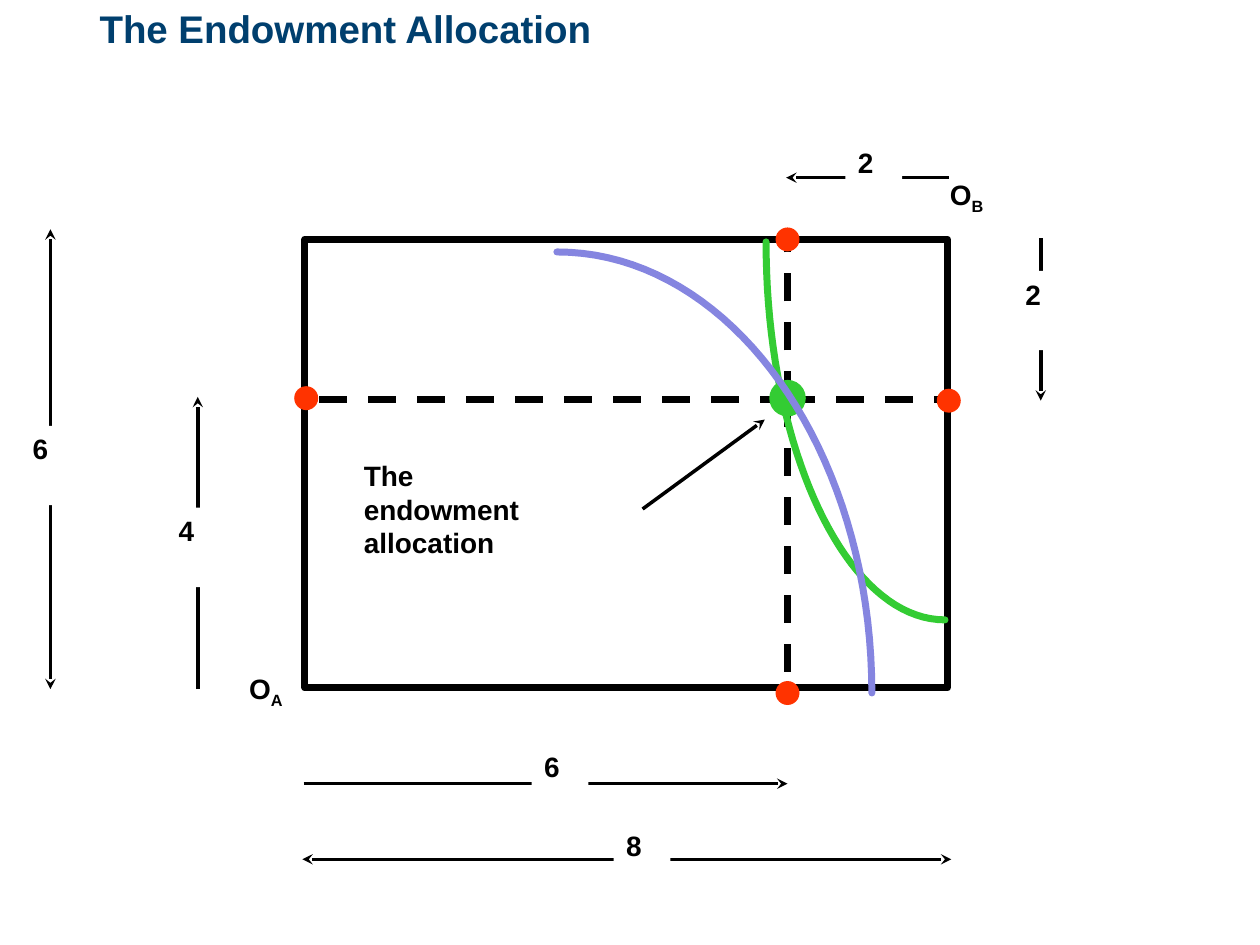
from lxml.etree import SubElement
from pptx import Presentation
from pptx.dml.color import RGBColor
from pptx.enum.dml import MSO_LINE
from pptx.enum.shapes import MSO_CONNECTOR, MSO_SHAPE
from pptx.enum.text import MSO_ANCHOR, PP_ALIGN
from pptx.oxml.ns import qn
from pptx.util import Emu, Pt

PX = 9144  # 100 px to the inch
COLORS = {
    "ink": "000000",
    "paper": "FFFFFF",
    "title": "003F6E",
    "corner": "FF3300",
    "endowment": "33CC33",
    "curve_a": "8585E0",
}
FONT = "Arial"
EDGEWORTH_BOX = (242, 190, 510, 356)
ENDOWMENT = (383, 126)

# start, end, two-headed, amount, top left of the amount; relative to the box
DIMENSIONS = [
    ((-2, 492), (513, 492), True, "8", (245, 463)),
    ((-202, -8), (-202, 357), True, "6", (-226, 148)),
    ((-85, 357), (-85, 125), False, "4", (-110, 213)),
    ((-1, 432), (383, 432), False, "6", (180, 400)),
    ((584, -1), (584, 128), False, "2", (562, 25)),
    ((511, -49), (382, -49), False, "2", (429, -79)),
]


def px(*lengths):
    return [Emu(round(length * PX)) for length in lengths]


def rgb(name):
    return RGBColor.from_string(COLORS[name])


def shift(box, point):
    return box[0] + point[0], box[1] + point[1]


def style_line(line, color, width):
    line.color.rgb = rgb(color)
    line.width = Pt(width)


def style_font(font, size, color):
    font.name, font.size, font.bold = FONT, Pt(size), True
    font.color.rgb = rgb(color)


def add_line(slide, start, end, width=2, ends=()):
    """Straight black line; ends lists the arrowhead elements it carries."""
    line = slide.shapes.add_connector(MSO_CONNECTOR.STRAIGHT, *px(*start, *end))
    style_line(line.line, "ink", width)
    for arrowhead in ends:
        SubElement(line.line._get_or_add_ln(), qn(f"a:{arrowhead}"), type="stealth")
    SubElement(line._element.spPr, qn("a:effectLst"))
    return line


def add_dot(slide, center, diameter, color):
    corner = [middle - diameter / 2 for middle in center]
    dot = slide.shapes.add_shape(MSO_SHAPE.OVAL, *px(*corner, diameter, diameter))
    dot.shadow.inherit = False
    dot.fill.solid()
    dot.fill.fore_color.rgb = rgb(color)
    dot.line.fill.background()


def add_label(slide, corner, size, text, subscript=None):
    label = slide.shapes.add_textbox(*px(*corner, *size))
    label.text_frame.word_wrap = True
    label.text_frame.text = text
    paragraph = label.text_frame.paragraphs[0]
    style_font(paragraph.font, 16, "ink")
    if subscript:
        run = paragraph.add_run()
        run.text = subscript
        run.font._element.set("baseline", "-25000")
    return label


def add_curve(slide, box, controls, color, steps=40):
    """Indifference curve through the points of a cubic Bezier."""
    points = []
    for step in range(steps + 1):
        t = step / steps
        weights = ((1 - t) ** 3, 3 * t * (1 - t) ** 2, 3 * t**2 * (1 - t), t**3)
        offset = [sum(w * c[axis] for w, c in zip(weights, controls)) for axis in (0, 1)]
        points.append(px(*shift(box, offset)))
    builder = slide.shapes.build_freeform(*points[0])
    builder.add_line_segments(points[1:], close=False)
    curve = builder.convert_to_shape()
    curve.shadow.inherit = False
    curve.fill.background()
    style_line(curve.line, color, 4)
    curve.line._get_or_add_ln().set("cap", "rnd")


def add_title(slide, box, text):
    title = slide.shapes.title
    title.left, title.top, title.width, title.height = px(*box)
    frame = title.text_frame
    frame.margin_left = frame.margin_top = frame.margin_right = frame.margin_bottom = 0
    frame.vertical_anchor = MSO_ANCHOR.TOP
    frame.text = text
    frame.paragraphs[0].alignment = PP_ALIGN.LEFT
    style_font(frame.paragraphs[0].font, 22, "title")


def add_dimensions(slide, box):
    for start, end, two_headed, amount, corner in DIMENSIONS:
        ends = ("headEnd", "tailEnd") if two_headed else ("tailEnd",)
        add_line(slide, shift(box, start), shift(box, end), ends=ends)
        label = add_label(slide, shift(box, corner), (45, 63), amount)
        label.fill.solid()
        label.fill.fore_color.rgb = rgb("paper")


def add_edgeworth_box(slide, box):
    frame = slide.shapes.add_shape(MSO_SHAPE.RECTANGLE, *px(*box))
    frame.shadow.inherit = False
    frame.fill.background()
    style_line(frame.line, "ink", 4)

    center = shift(box, (ENDOWMENT[0], 127))
    for edge in ((383, 358), (2, 127), (383, -1), (511, 127)):
        guide = add_line(slide, center, shift(box, edge), width=4)
        guide.line.dash_style = MSO_LINE.DASH
    for corner in ((383, 360), (1, 126), (383, 0), (511, 128)):
        add_dot(slide, shift(box, corner), 19, "corner")
    add_dot(slide, shift(box, ENDOWMENT), 29, "endowment")

    add_label(slide, shift(box, (-54, 338)), (76, 63), "O", "A")
    add_label(slide, shift(box, (502, -54)), (76, 63), "O", "B")
    add_label(slide, shift(box, (37, 169)), (267, 170), "The\vendowment\vallocation")
    add_line(slide, shift(box, (268, 214)), shift(box, (365, 143)), ends=("tailEnd",))

    add_curve(slide, box, ((508, 302), (430, 302), (366, 167), (366, 2)), "endowment")
    add_curve(slide, box, ((200, 10), (338, 10), (450, 167), (450, 360)), "curve_a")


def main():
    presentation = Presentation()
    presentation.slide_width, presentation.slide_height = px(1000, 750)
    slide = presentation.slides.add_slide(presentation.slide_layouts[5])
    add_title(slide, (79, 4, 650, 92), "The Endowment Allocation")
    add_dimensions(slide, EDGEWORTH_BOX)
    add_edgeworth_box(slide, EDGEWORTH_BOX)
    presentation.save("out.pptx")


if __name__ == "__main__":
    main()
